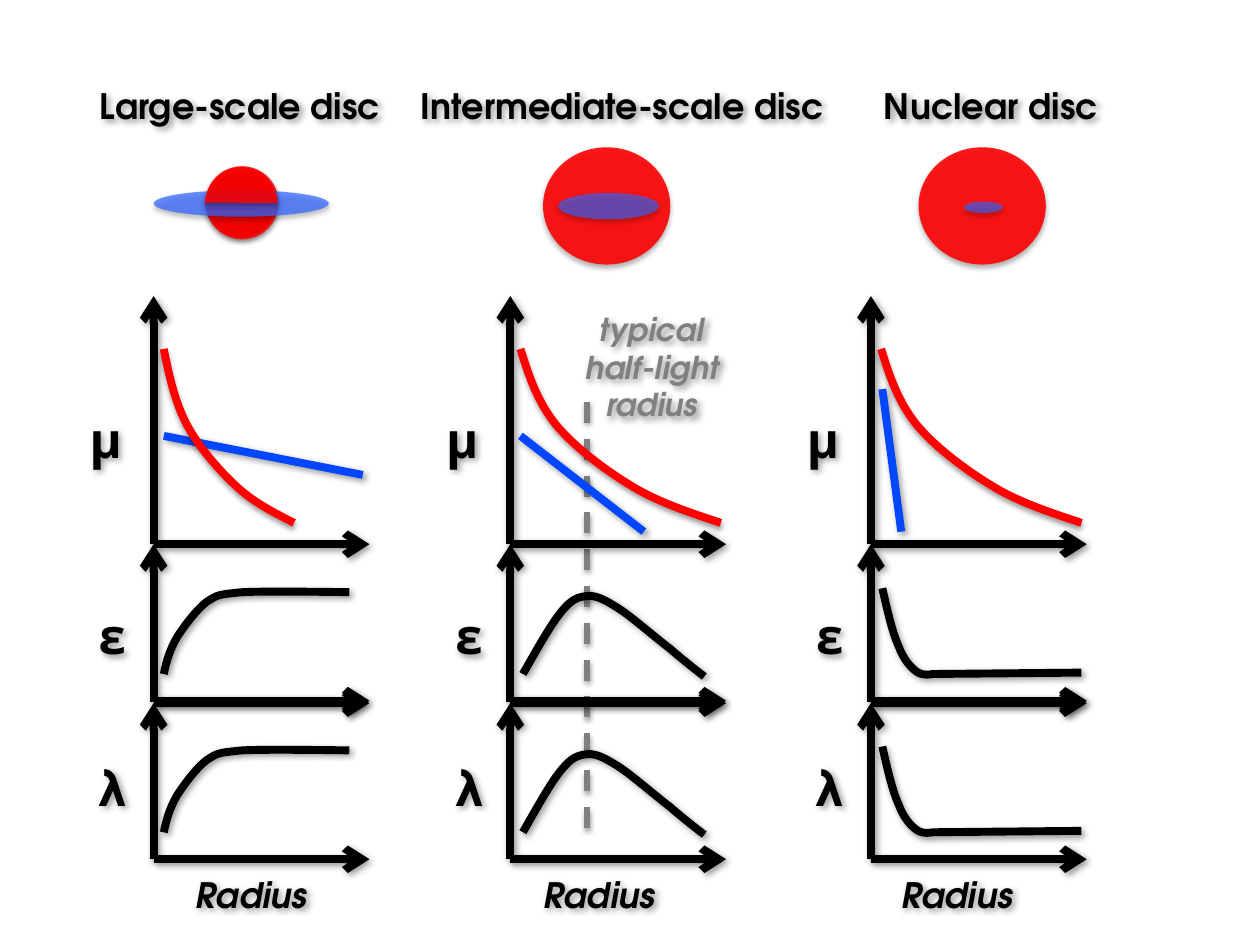
from lxml.etree import SubElement as Sub
from pptx import Presentation
from pptx.dml.color import RGBColor as Rgb
from pptx.enum.dml import MSO_LINE_DASH_STYLE as Dash
from pptx.enum.shapes import MSO_CONNECTOR as Conn, MSO_SHAPE as Kind
from pptx.enum.text import PP_ALIGN as Align
from pptx.oxml.ns import qn
from pptx.util import Pt

INK = dict(black="000000", gray="808080", red="FF0000", blue="0247FF", disc="3366FF")
SANS, GEO = "Open Sans", "TeX Gyre Adventor"

# Shadows: opacity %, blur, distance, direction
SOFT, DROP, GLOW = (35, 3.1, 1.8, 90), (40, 4, 2, 45), (38, 3.1, 1.6, 90)

# Curves: x right of the axis, y above the baseline; cubic control points
FALL = [(0, 111.6), (4.7, 96.5), (9.4, 82), (20.2, 68.4), (31, 55.4), (48.2, 42.5),
        (64, 33), (79.2, 23.8), (97.2, 18), (114.5, 12.2)]
RISE = [(5.8, 15.8), (7.2, 23), (9.4, 30.2), (13.7, 37.4), (18, 44), (24.5, 52.5),
        (30.2, 57), (36.7, 61.2), (36.7, 61.2), (50.4, 62.6), (64.1, 63.4),
        (111.8, 62.6), (111.8, 62.6)]
PEAK = [(7.2, 15.8), (15.1, 29.5), (23, 43.9), (29, 51.1), (35.3, 59), (38.9, 59.8),
        (44.6, 60.5), (49.7, 60.5), (54, 58.3), (61.9, 53.3), (69.8, 48.2),
        (82.8, 36.7), (91.4, 30.2), (98.6, 23.8), (110.9, 14.4), (110.9, 14.4)]
DROPS = [(6.5, 64.8), (9.4, 51.8), (12.2, 39.6), (15.8, 31.7), (18.7, 23.8),
         (23, 19.4), (25.9, 17.3), (29.5, 14.4), (35.3, 15.8), (35.3, 15.8),
         (35.3, 15.8), (120.2, 16.6), (120.2, 16.6)]

# Columns: axis x, title and its centre, centre of "Radius", blue line, curves
COLS = [
    dict(x=87.8, title="Large-scale disc", mid=137.2, foot=143.6,
         blue=(5.8, 61.9, 119.5, 39.6), wide=0.65, low=RISE),
    dict(x=291.6, title="Intermediate-scale disc", mid=355.7, foot=342.4,
         blue=(5.8, 61.9, 76.3, 7.2), wide=1, low=PEAK),
    dict(x=497.7, title="Nuclear disc", mid=566.3, foot=546.8,
         blue=(6.5, 88.6, 17.3, 7.2), wide=1, low=DROPS),
]
BASES = [311, 400.4, 401.8, 491]
RISERS = [(311, 169.2), (401, 311), (491, 401.8)]
SIGNS = [("μ", SANS, 27.4, 230.2), ("ε", SANS, 23.6, 342.7), ("λ", GEO, 23.6, 429.1)]

# Galaxies: kind, left, top, width, height, colour, opacity %, turn
GALAXY = [
    (Kind.OVAL, 310.3, 84.2, 72.7, 67, "red", 89, 0),
    (Kind.OVAL, 319, 110.2, 57.6, 15.1, "disc", 64, 0),
    (Kind.CHORD, 115.9, 92.9, 43.9, 41.8, "red", 86, 270),
    (Kind.OVAL, 117.4, 95, 41.8, 41.8, "red", 83, 0),
    (Kind.OVAL, 87.8, 108.7, 100.1, 15.1, "disc", 73, 0),
    (Kind.CHORD, 115.9, 96.5, 43.9, 41.8, "red", 86, 90),
    (Kind.OVAL, 524.9, 84.2, 72.7, 67, "red", 89, 0),
    (Kind.OVAL, 550.8, 115.2, 22.3, 6.5, "disc", 64, 0),
]

deck = Presentation()
deck.slide_width, deck.slide_height = Pt(720), Pt(540)
slide = deck.slides.add_slide(deck.slide_layouts[6])
parts = slide.shapes


def shade(part, look):
    clear, blur, dist, turn = look
    fx = Sub(part._element.spPr, qn("a:effectLst"))
    cast = Sub(fx, qn("a:outerShdw"), blurRad=str(Pt(blur)), dist=str(Pt(dist)),
               dir=str(turn * 60000), rotWithShape="0")
    tint = Sub(cast, qn("a:srgbClr"), val=INK["black"])
    Sub(tint, qn("a:alpha"), val=str(clear * 1000))


def pen(part, hue, width=4.5):
    part.line.color.rgb = Rgb.from_string(INK[hue])
    part.line.width = Pt(width)


def line(x1, y1, x2, y2, hue="black", head=False, dash=None, width=4.5, look=DROP):
    part = parts.add_connector(Conn.STRAIGHT, Pt(x1), Pt(y1), Pt(x2), Pt(y2))
    pen(part, hue, width)
    if dash:
        part.line.dash_style = dash
    if head:
        Sub(part.line._get_or_add_ln(), qn("a:tailEnd"), type="arrow")
    shade(part, look)


def curve(dots, x, base, hue="black", look=DROP):
    dots = [(Pt(x + dx), Pt(base - dy)) for dx, dy in dots]
    form = parts.build_freeform(*dots[0])
    form.add_line_segments(dots[1:], close=False)
    part = form.convert_to_shape()
    part.fill.background()
    pen(part, hue)
    # Every three straight segments become one cubic
    track = part._element.xpath(".//a:path")[0]
    legs = track.findall(qn("a:lnTo"))
    for i in range(0, len(legs), 3):
        bend = Sub(track, qn("a:cubicBezTo"))
        for leg in legs[i:i + 3]:
            bend.append(leg[0])
            track.remove(leg)
    shade(part, look)


def text(words, mid, top, width, height, size=20, name=GEO, hue="black", italic=False):
    box = parts.add_textbox(Pt(mid - width / 2), Pt(top), Pt(width), Pt(height))
    box.text_frame.word_wrap = True
    para = box.text_frame.paragraphs[0]
    para.alignment = Align.CENTER
    run = para.add_run()
    run.text = words
    style = dict(size=Pt(size), name=name, bold=True, italic=italic)
    for key, val in style.items():
        setattr(run.font, key, val)
    run.font.color.rgb = Rgb.from_string(INK[hue])
    shade(box, DROP)


# Half-light radius marker
line(335.5, 229.7, 335.5, 477.4, "gray", dash=Dash.DASH, width=3, look=GLOW)

# Galaxies
for kind, x, y, w, h, hue, clear, turn in GALAXY:
    part = parts.add_shape(kind, Pt(x), Pt(y), Pt(w), Pt(h))
    part.rotation = turn
    if kind == Kind.CHORD:
        part.adjustments[0], part.adjustments[1] = 56.594, 159.647
    part.fill.solid()
    part.fill.fore_color.rgb = Rgb.from_string(INK[hue])
    tint = part._element.spPr.find(".//" + qn("a:srgbClr"))
    Sub(tint, qn("a:alpha"), val=str(clear * 1000))
    part.line.fill.background()
    shade(part, SOFT)

# Columns of plots
for col in COLS:
    x = col["x"]
    for base in BASES:
        line(x, base, x + 123.3, base, head=True)
    for low, high in RISERS:
        line(x, low, x, high, head=True)
    x1, y1, x2, y2 = col["blue"]
    line(x + x1, BASES[0] - y1, x + x2, BASES[0] - y2, "blue")
    curve([(5.8 + dx * col["wide"], dy) for dx, dy in FALL], x, BASES[0], "red", GLOW)
    for base in (401, 491.4):
        curve(col["low"], x, base)
    text(col["title"], col["mid"], 44.6, 255, 31.7)
    for sign, name, gap, top in SIGNS:
        text(sign, x - gap, top, 50, 41, 28, name)
    text("Radius", col["foot"], 495.4, 101.5, 31.7, italic=True)

text("typical half-light radius", 372.6, 173.5, 101.5, 72.7, 18, hue="gray", italic=True)

deck.save("out.pptx")
